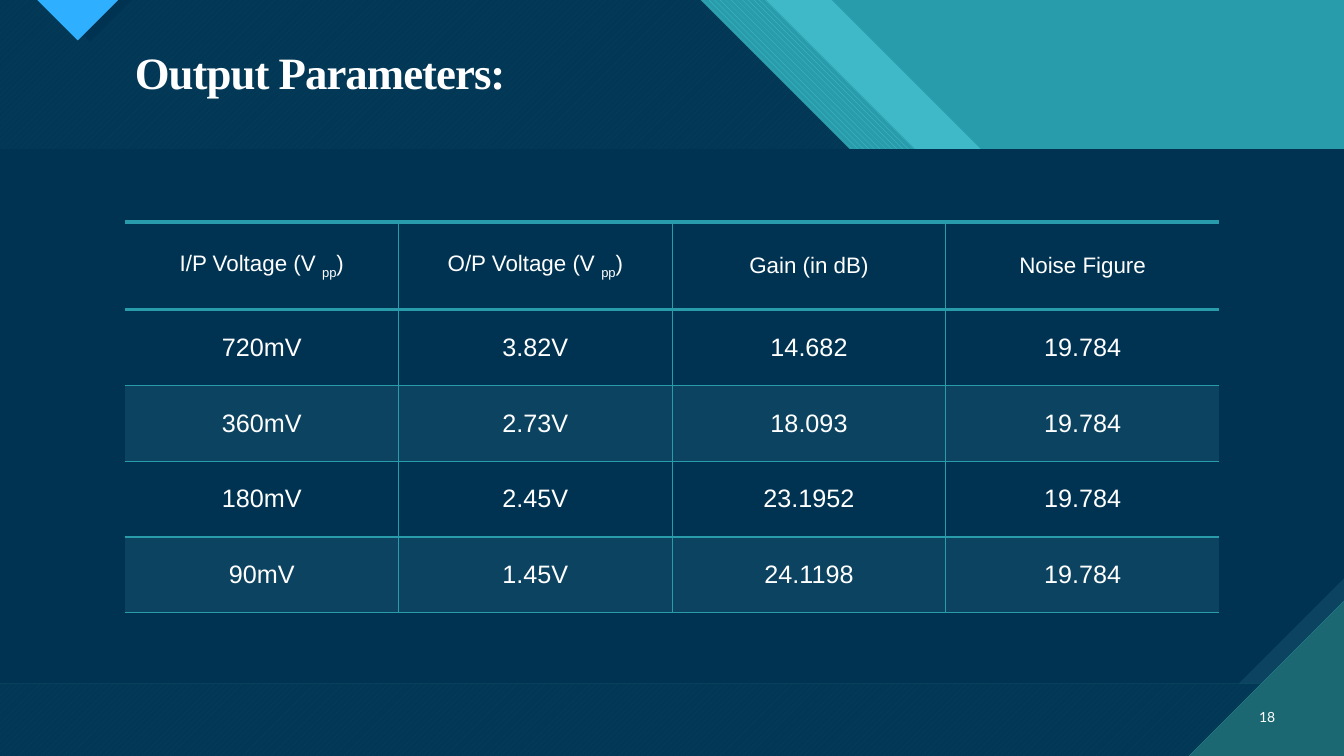
from lxml import etree
from pptx import Presentation
from pptx.dml.color import RGBColor
from pptx.enum.dml import MSO_PATTERN
from pptx.enum.shapes import MSO_SHAPE
from pptx.enum.text import MSO_ANCHOR, PP_ALIGN
from pptx.oxml.ns import qn
from pptx.util import Cm, Pt

RECT = MSO_SHAPE.RECTANGLE
MIDDLE = MSO_ANCHOR.MIDDLE
LEFT, CENTER, RIGHT = PP_ALIGN.LEFT, PP_ALIGN.CENTER, PP_ALIGN.RIGHT
DOWN, UP = MSO_PATTERN.WIDE_DOWNWARD_DIAGONAL, MSO_PATTERN.WIDE_UPWARD_DIAGONAL
ROWS, COLS = MSO_PATTERN.DARK_HORIZONTAL, MSO_PATTERN.DARK_VERTICAL

WIDE, HIGH = 33.87, 19.05
TOP, BASE = 3.76, 17.22  # upper and lower edge of the main panel
SNIP = 2.65

COLORS = {
    "navy": "003352", "steel": "0C4360", "teal": "299CAB", "aqua": "47C3D3",
    "green": "1B6872", "blue": "2FAFFF", "white": "FFFFFF",
}
FONTS = {
    "title": {"name": "Times New Roman", "size": Pt(32), "bold": True},
    "head": {"name": "Arial", "size": Pt(16), "bold": False},
    "body": {"name": "Arial", "size": Pt(18), "bold": False},
    "page": {"name": "Lato", "size": Pt(10), "bold": False},
}
TABLE = [
    [("I/P Voltage (V ", "pp", ")"), ("O/P Voltage (V ", "pp", ")"),
     ("Gain (in dB)",), ("Noise Figure",)],
    [("720mV",), ("3.82V",), ("14.682",), ("19.784",)],
    [("360mV",), ("2.73V",), ("18.093",), ("19.784",)],
    [("180mV",), ("2.45V",), ("23.1952",), ("19.784",)],
    [("90mV",), ("1.45V",), ("24.1198",), ("19.784",)],
]


def color(name):
    return RGBColor.from_string(COLORS[name])


def slant(left):
    """Outline of a layer whose right edge runs down at 45 degrees."""
    drop, step = 7.54, 10.75
    return [(0, 0), (left, 0), (left + drop, drop), (left + step, drop),
            (WIDE, drop + WIDE - left - step), (WIDE, HIGH), (0, HIGH)]


def wedge(left, half):
    """Outline of a triangle that points down from the top edge."""
    return [(left, 0), (left + 2 * half, 0), (left + half, half)]


class Painter:
    def __init__(self, slide):
        self.slide = slide
        self.shapes = slide.shapes

    def paint(self, shape, fill, back=None, pattern=None, alpha=None):
        shape.shadow.inherit = False
        shape.line.fill.background()
        if pattern is None:
            shape.fill.solid()
        else:
            shape.fill.patterned()
            shape.fill.pattern = pattern
            shape.fill.back_color.rgb = color(back)
        shape.fill.fore_color.rgb = color(fill)
        if alpha:
            tint = shape._element.spPr.find(".//" + qn("a:srgbClr"))
            etree.SubElement(tint, qn("a:alpha")).set("val", str(alpha * 1000))

    def rect(self, left, top, width, height, *fill):
        box = self.shapes.add_shape(RECT, Cm(left), Cm(top), Cm(width), Cm(height))
        self.paint(box, *fill)

    def free(self, points, *fill, alpha=None):
        spots = [(Cm(x), Cm(y)) for x, y in points]
        outline = self.shapes.build_freeform(*spots[0])
        outline.add_line_segments(spots[1:], close=True)
        self.paint(outline.convert_to_shape(), *fill, alpha=alpha)

    def letter(self, para, parts, style, align):
        """Fill a paragraph; every second part is a subscript."""
        para.alignment = align
        for i, part in enumerate(parts):
            run = para.add_run()
            run.text = part
            for key, value in FONTS[style].items():
                setattr(run.font, key, value)
            run.font.color.rgb = color("white")
            props = run._r.get_or_add_rPr()
            if i % 2:
                props.set("baseline", "-25000")
            if style == "title":
                props.set("spc", "-70")

    def text(self, left, top, width, height, words, style, align):
        box = self.shapes.add_textbox(Cm(left), Cm(top), Cm(width), Cm(height))
        frame = box.text_frame
        frame.word_wrap = True
        frame.vertical_anchor = MIDDLE
        para = frame.paragraphs[0]
        para.line_spacing = 0.9 if style == "title" else 1.0
        self.letter(para, [words], style, align)

    def edge(self, cell, sides):
        """Draw cell borders; sides maps L, R, T, B to points, 0 for none."""
        props = cell._tc.get_or_add_tcPr()
        for i, (side, width) in enumerate(sides.items()):
            line = etree.Element(qn("a:ln" + side), w=str(Pt(width)))
            if width:
                fill = etree.SubElement(line, qn("a:solidFill"))
                etree.SubElement(fill, qn("a:srgbClr"), val=COLORS["teal"])
            else:
                etree.SubElement(line, qn("a:noFill"))
            props.insert(i, line)

    def table(self, left, top, width, heights, rows):
        count = len(rows[0])
        grid = self.shapes.add_table(len(rows), count, Cm(left), Cm(top),
                                     Cm(width), Cm(sum(heights))).table
        grid.first_row = grid.horz_banding = False
        for col in grid.columns:
            col.width = Cm(width / count)
        for r, row in enumerate(rows):
            grid.rows[r].height = Cm(heights[r])
            for c, parts in enumerate(row):
                cell = grid.cell(r, c)
                cell.vertical_anchor = MIDDLE
                if r and r % 2 == 0:
                    cell.fill.solid()
                    cell.fill.fore_color.rgb = color("steel")
                else:
                    cell.fill.background()
                self.edge(cell, {"L": int(c > 0), "R": int(c < count - 1),
                                 "T": 3 if r < 2 else 1, "B": 1 if r else 3})
                self.letter(cell.text_frame.paragraphs[0], parts,
                            "body" if r else "head", CENTER)


def main():
    deck = Presentation()
    deck.slide_width, deck.slide_height = Cm(WIDE), Cm(HIGH)
    pen = Painter(deck.slides.add_slide(deck.slide_layouts[6]))
    ground = pen.slide.background.fill
    ground.solid()
    ground.fore_color.rgb = color("aqua")

    pen.rect(0, 0, WIDE, HIGH, "teal")
    pen.free(slant(20.96), "aqua", alpha=74)
    pen.free(slant(19.3), "aqua", "teal", DOWN)
    pen.free(slant(17.65), "aqua", "green", UP)
    pen.free(slant(17.65), "navy", alpha=90)
    pen.free(wedge(1.22, 1.05), "navy")
    pen.free(wedge(0.94, 1.02), "blue", "green", ROWS)
    pen.rect(0, TOP, WIDE, BASE - TOP, "steel", "green", COLS)
    pen.free([(0, TOP), (WIDE, TOP), (WIDE, BASE - SNIP),
              (WIDE - SNIP, BASE), (0, BASE)], "navy")
    pen.free([(WIDE - 3.91, HIGH), (WIDE, HIGH), (WIDE, HIGH - 3.91)],
             "green", "aqua", ROWS)

    pen.text(3.15, 1.14, 10.34, 1.5, "Output Parameters:", "title", LEFT)
    pen.table(3.15, 5.59, 27.58, [2.21] + [1.91] * 4, TABLE)
    pen.text(31.27, 17.55, 1.12, 1.02, "18", "page", RIGHT)
    deck.save("out.pptx")


if __name__ == "__main__":
    main()
